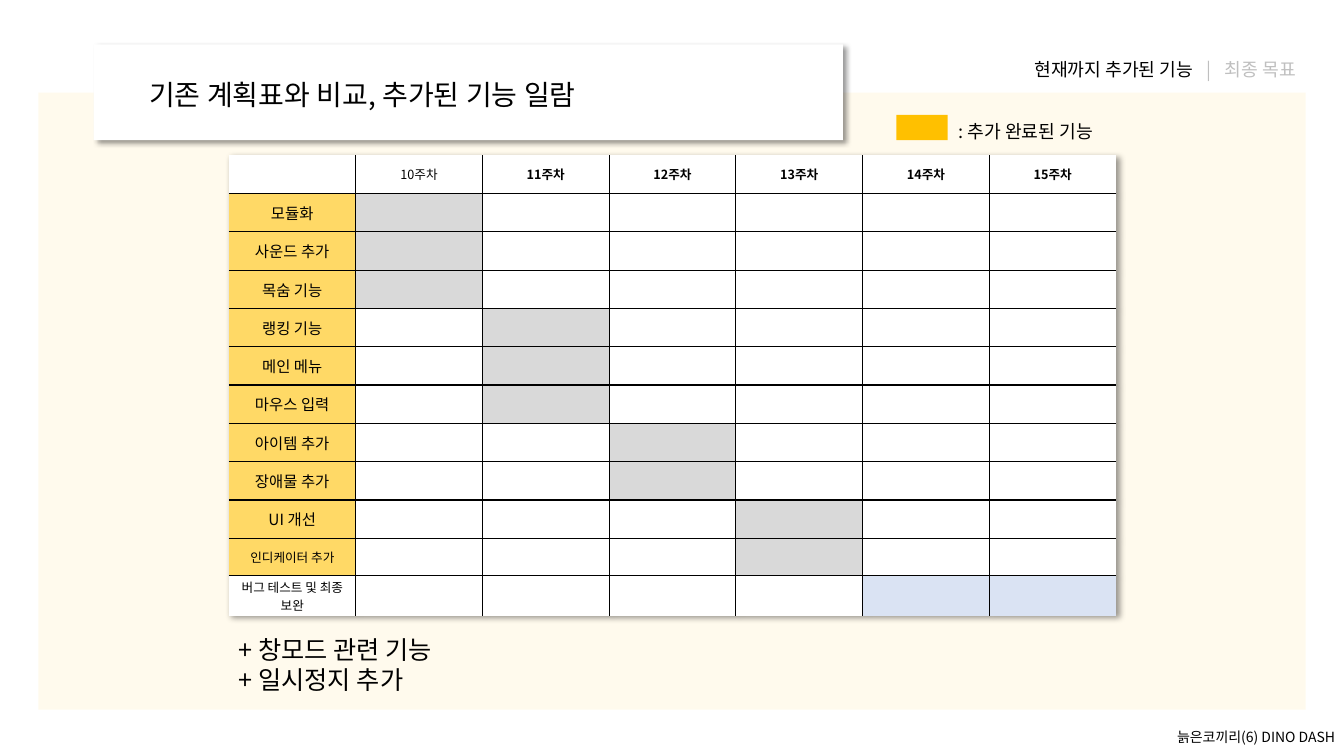
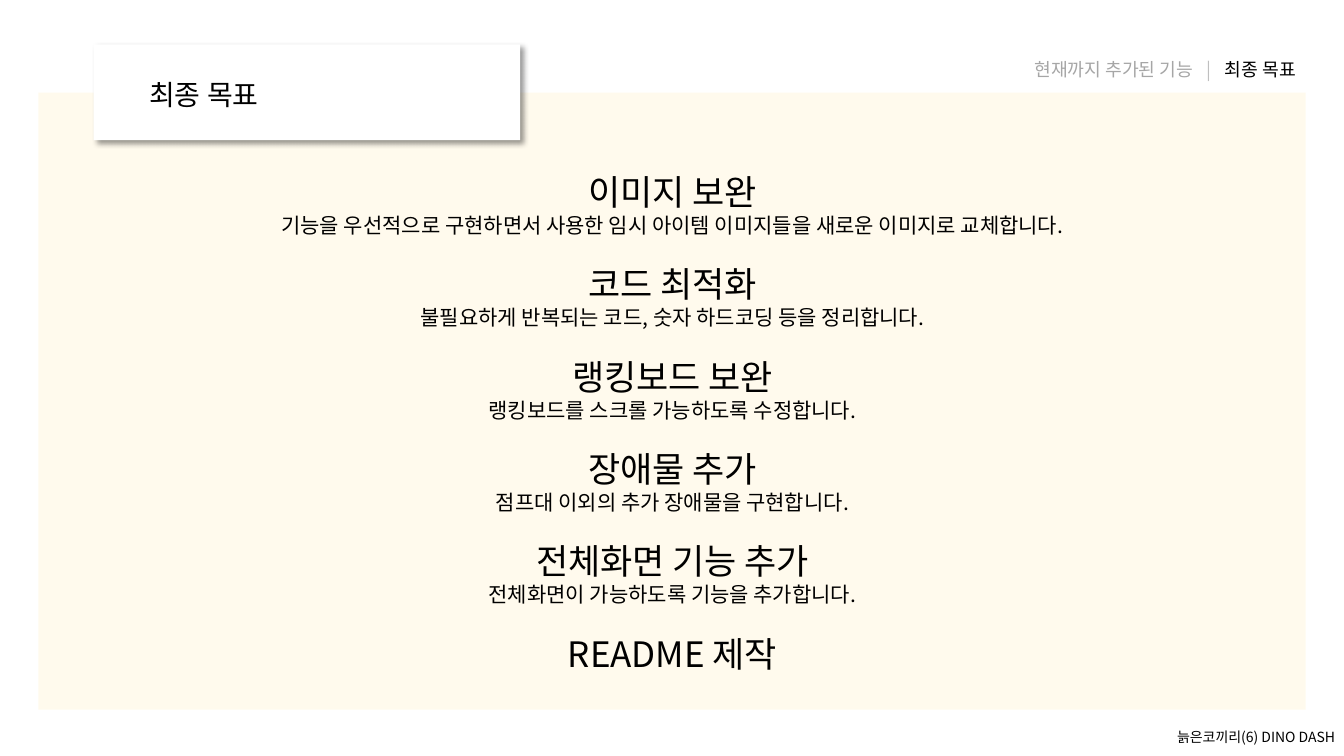
from lxml import etree
from pptx import Presentation
from pptx.dml.color import RGBColor
from pptx.enum import shapes, text
from pptx.oxml.ns import qn
from pptx.util import Inches, Pt

FONT = "Noto Sans CJK KR"
COLORS = {
    "white": "FFFFFF", "black": "000000", "panel": "FFF2CC", "legend": "FFC000",
    "done": "FFD966", "planned": "D9D9D9", "remaining": "DAE3F3",
    "divider": "BFBFBF", "past": "A6A6A6",
}
ALIGN = {"l": text.PP_ALIGN.LEFT, "c": text.PP_ALIGN.CENTER, "r": text.PP_ALIGN.RIGHT}
LINE_HEIGHT = 1.2
FOOTER = "늙은코끼리(6) DINO DASH"
SECTIONS = ("현재까지 추가된 기능", "최종 목표")

PLAN_TITLE = "기존 계획표와 비교, 추가된 기능 일람"
WEEKS = ("10주차", "11주차", "12주차", "13주차", "14주차", "15주차")
TASKS = [
    ("모듈화", 11, "done", (1,)),
    ("사운드 추가", 11, "done", (1,)),
    ("목숨 기능", 11, "done", (1,)),
    ("랭킹 기능", 11, "done", (2,)),
    ("메인 메뉴", 11, "done", (2,)),
    ("마우스 입력", 11, "done", (2,)),
    ("아이템 추가", 11, "done", (3,)),
    ("장애물 추가", 11, "done", (3,)),
    ("UI 개선", 11, "done", (4,)),
    ("인디케이터 추가", 9, "done", (4,)),
    ("버그 테스트 및 최종 보완", 9, "white", (5, 6)),
]
LEGEND = ": 추가 완료된 기능"
EXTRAS = ("+ 창모드 관련 기능", "+ 일시정지 추가")

GOALS = [
    ("이미지 보완", "기능을 우선적으로 구현하면서 사용한 임시 아이템 이미지들을 새로운 이미지로 교체합니다."),
    ("코드 최적화", "불필요하게 반복되는 코드, 숫자 하드코딩 등을 정리합니다."),
    ("랭킹보드 보완", "랭킹보드를 스크롤 가능하도록 수정합니다."),
    ("장애물 추가", "점프대 이외의 추가 장애물을 구현합니다."),
    ("전체화면 기능 추가", "전체화면이 가능하도록 기능을 추가합니다."),
    ("README 제작", None),
]


def rgb(name):
    return RGBColor.from_string(COLORS[name])


def write(p, content, size, color="black", bold=False, align="l", before=0, spacing=None):
    p.alignment = ALIGN[align]
    p.space_before = Pt(before)
    if spacing:
        p.line_spacing = Pt(round(size * spacing, 2))
    r = p.add_run()
    r.text = content
    r.font.name, r.font.size, r.font.bold = FONT, Pt(size), bold
    r.font.color.rgb = rgb(color)
    etree.SubElement(r.font._element, qn("a:ea"), typeface=FONT)


def fill_frame(tf, lines, wrap=True):
    tf.word_wrap = wrap
    tf.vertical_anchor = text.MSO_ANCHOR.TOP
    tf.margin_left = tf.margin_right = Inches(0.1)
    tf.margin_top, tf.margin_bottom = Inches(0.07), Inches(0.05)
    for i, (content, fmt) in enumerate(lines):
        p = tf.paragraphs[0] if i == 0 else tf.add_paragraph()
        write(p, content, spacing=LINE_HEIGHT, **fmt)


def add_text(slide, box, lines, wrap=True):
    sp = slide.shapes.add_textbox(*map(Inches, box))
    fill_frame(sp.text_frame, lines, wrap)


def add_rect(slide, box, color, alpha=None):
    sp = slide.shapes.add_shape(shapes.MSO_SHAPE.RECTANGLE, *map(Inches, box))
    sp.shadow.inherit = False
    sp.fill.solid()
    sp.fill.fore_color.rgb = rgb(color)
    sp.line.fill.background()
    if alpha:
        clr = sp.element.spPr.find(qn("a:solidFill")).find(qn("a:srgbClr"))
        etree.SubElement(clr, qn("a:alpha"), val=str(alpha * 1000))
    return sp


def add_shadow(effects):
    shadow = etree.SubElement(effects, qn("a:outerShdw"), blurRad=str(Pt(4)),
                              dist=str(Pt(3)), dir="2700000", algn="tl", rotWithShape="0")
    clr = etree.SubElement(shadow, qn("a:srgbClr"), val=COLORS["black"])
    etree.SubElement(clr, qn("a:alpha"), val="40000")


def add_base(prs, title, card_width, active):
    slide = prs.slides.add_slide(prs.slide_layouts[5])
    add_rect(slide, (0.38, 0.92, 12.57, 6.12), "panel", alpha=35)
    card = add_rect(slide, (0.93, 0.44, card_width, 0.95), "white")
    add_shadow(card.element.spPr.find(qn("a:effectLst")))

    heading = slide.shapes.title
    heading.left, heading.top, heading.width, heading.height = map(Inches, (1.38, 0.7, 4.72, 0.44))
    fill_frame(heading.text_frame, [(title, dict(size=20))], wrap=False)
    card.element.addnext(heading.element)

    add_text(slide, (5.27, 7.16, 8.07, 0.27), [(FOOTER, dict(size=10, align="r"))])
    inactive = ("past", "divider")
    colors = ["black" if i == active else inactive[i] for i in range(len(SECTIONS))]
    nav = [(9.43, 2.5, SECTIONS[0], colors[0], "r"),
           (11.84, 0.3, "|", "divider", "c"),
           (11.95, 1, SECTIONS[1], colors[1], "r")]
    for left, width, label, color, align in nav:
        add_text(slide, (left, 0.51, width, 0.32),
                 [(label, dict(size=13, color=color, align=align))])
    return slide


def format_cell(cell, fill, borders, content="", size=9, bold=False, margin=0.05):
    cell.fill.solid()
    cell.fill.fore_color.rgb = rgb(fill)
    cell.vertical_anchor = text.MSO_ANCHOR.MIDDLE
    cell.margin_left = cell.margin_right = Inches(0.09)
    cell.margin_top = cell.margin_bottom = Inches(margin)
    p = cell.text_frame.paragraphs[0]
    if content:
        write(p, content, size, bold=bold, align="c")
    else:
        etree.SubElement(p._p, qn("a:endParaRPr"), sz=str(size * 100))
    tcPr = cell._tc.get_or_add_tcPr()
    for i, side in enumerate(("L", "R", "T", "B")):
        ln = etree.Element(qn("a:ln" + side), w=str(Pt(1)))
        if side in borders:
            solid = etree.SubElement(ln, qn("a:solidFill"))
            etree.SubElement(solid, qn("a:srgbClr"), val=COLORS["black"])
        else:
            etree.SubElement(ln, qn("a:noFill"))
        tcPr.insert(i, ln)


def add_schedule(slide):
    rows, cols = len(TASKS) + 1, len(WEEKS) + 1
    frame = slide.shapes.add_table(rows, cols, *map(Inches, (2.27, 1.54, 8.8, 4.57)))
    table = frame.table
    table.first_row = table.horz_banding = False
    effects = etree.Element(qn("a:effectLst"))
    add_shadow(effects)
    table._tbl.tblPr.insert(0, effects)
    for i, row in enumerate(table.rows):
        row.height = Inches({rows - 2: 0.37, rows - 1: 0.4}.get(i, 0.38))

    for i in range(rows):
        for j in range(cols):
            inside = (("L", j > 0), ("R", j < cols - 1), ("T", i > 0), ("B", i < rows - 1))
            fmt = dict(fill="white", borders=[side for side, shown in inside if shown])
            if i == 0 and j > 0:
                fmt.update(content=WEEKS[j - 1], bold=j > 1)
            elif i > 0:
                label, size, state, weeks = TASKS[i - 1]
                if j == 0:
                    fmt.update(content=label, size=size, fill=state)
                elif j in weeks:
                    fmt.update(fill="planned" if state == "done" else "remaining")
            if i == rows - 1:
                fmt.update(margin=0.02)
            format_cell(table.cell(i, j), **fmt)


def main():
    prs = Presentation()
    prs.slide_width, prs.slide_height = Inches(13.33), Inches(7.5)

    plan = add_base(prs, PLAN_TITLE, 7.43, 0)
    add_text(plan, (2.27, 6.22, 2.5, 0.71), [(line, dict(size=18)) for line in EXTRAS])
    add_schedule(plan)
    add_rect(plan, (8.89, 1.14, 0.51, 0.25), "legend")
    add_text(plan, (9.41, 1.12, 2.5, 0.32), [(LEGEND, dict(size=13))])

    goals = add_base(prs, SECTIONS[1], 4.23, 1)
    lines = []
    for goal, detail in GOALS:
        lines.append((goal, dict(size=25, align="c", before=18 if lines else 0)))
        if detail:
            lines.append((detail, dict(size=15, align="c")))
    add_text(goals, (1.27, 1.62, 10.8, 5.57), lines)

    prs.save("out.pptx")


if __name__ == "__main__":
    main()
